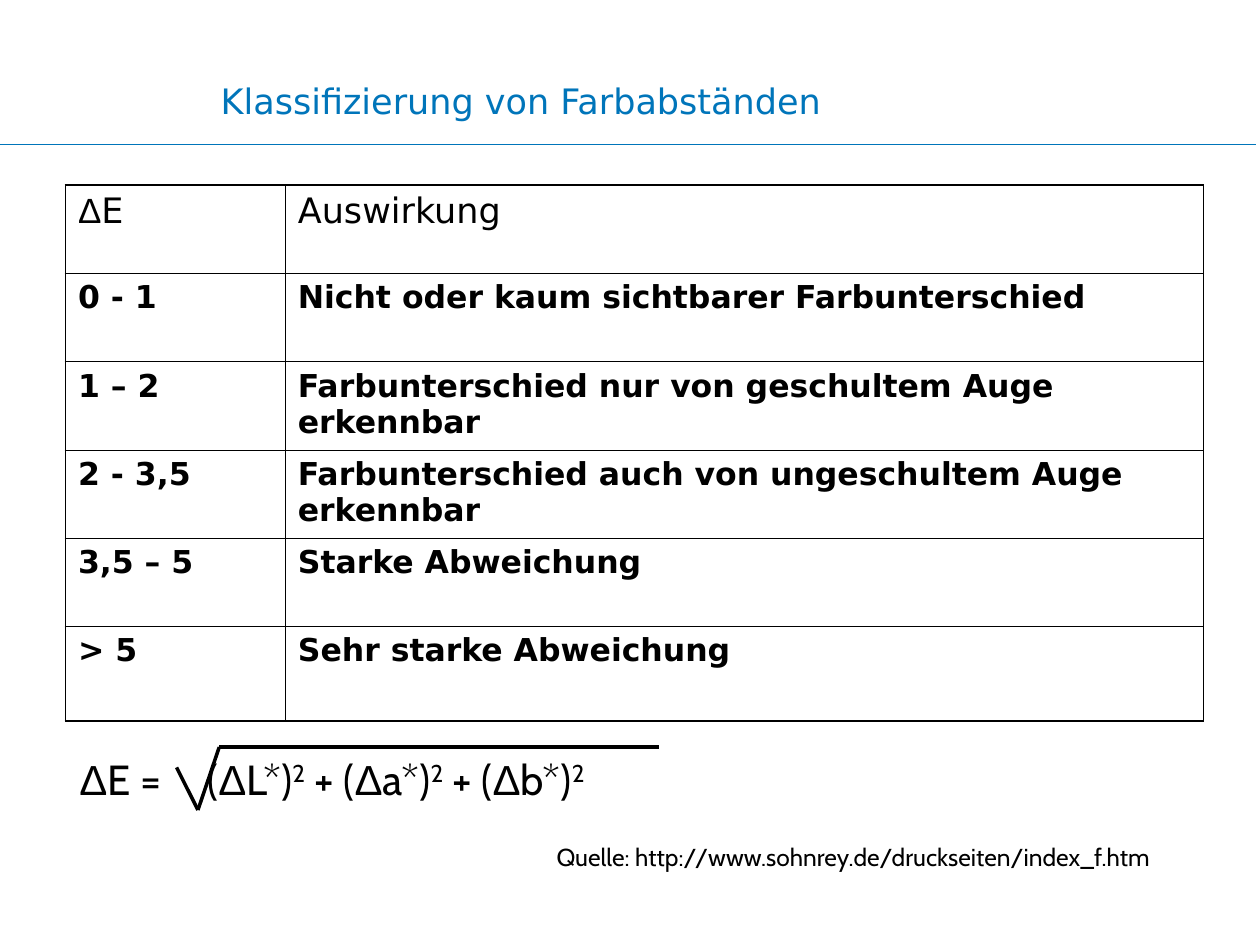
from itertools import pairwise

from lxml.etree import SubElement
from pptx import Presentation
from pptx.dml.color import RGBColor
from pptx.enum.shapes import MSO_CONNECTOR as CONN
from pptx.enum.text import MSO_ANCHOR, PP_ALIGN
from pptx.oxml.ns import qn
from pptx.util import Cm, Pt

BLUE = RGBColor(0x00, 0x75, 0xBA)
BLACK = RGBColor(0x00, 0x00, 0x00)
OUTER, INNER = Pt(1.08), Pt(0.45)


def set_font(font, size, color, name=None, bold=False):
    font.size, font.bold, font.name = Pt(size), bold, name
    font.color.rgb = color


def add_line(sl, start, end, color, width):
    ln = sl.shapes.add_connector(CONN.STRAIGHT, *map(Cm, start + end))
    ln.line.color.rgb = color
    ln.line.width = Pt(width)
    SubElement(ln._element.spPr, qn("a:effectLst"))


prs = Presentation()
prs.slide_width, prs.slide_height = Cm(25.4), Cm(19.05)
s = prs.slides.add_slide(prs.slide_layouts[5])

add_line(s, (-0.1, 2.92), (25.32, 2.92), BLUE, 0.75)

title = s.shapes.title
title.left, title.top, title.width, title.height = Cm(0.51), Cm(1.32), Cm(19.99), Cm(1.42)
tf = title.text_frame
tf.margin_left = tf.margin_right = tf.margin_top = tf.margin_bottom = 0
tf.vertical_anchor = MSO_ANCHOR.MIDDLE
tf.text = "Klassifizierung von Farbabständen"
p = tf.paragraphs[0]
p.alignment = PP_ALIGN.CENTER
set_font(p.font, 20, BLUE, "DejaVu Sans")

rows = [
    ("ΔE", "Auswirkung"),
    ("0 - 1", "Nicht oder kaum sichtbarer Farbunterschied"),
    ("1 – 2", "Farbunterschied nur von geschultem Auge erkennbar"),
    ("2 - 3,5", "Farbunterschied auch von ungeschultem Auge erkennbar"),
    ("3,5 – 5", "Starke Abweichung"),
    ("> 5", "Sehr starke Abweichung"),
]
table = s.shapes.add_table(len(rows), 2, Cm(1.32), Cm(3.73), Cm(22.94), Cm(10.8)).table
table.first_row = table.horz_banding = False
table.columns[0].width, table.columns[1].width = Cm(4.43), Cm(18.51)
last = len(rows) - 1
for i, row in enumerate(rows):
    table.rows[i].height = Cm(1.9 if i == last else 1.78)
    for j, text in enumerate(row):
        cell = table.cell(i, j)
        p = cell.text_frame.paragraphs[0]
        set_font(p.font, 18 if i else 20, BLACK, "DejaVu Sans", bold=i > 0)
        if text.startswith("Δ"):
            for part, name in (("Δ", "Arial"), (text[1:], "DejaVu Sans")):
                r = p.add_run()
                r.text, r.font.name = part, name
        else:
            p.add_run().text = text
        edges = {"L": j == 0, "R": j == 1, "T": i == 0, "B": i == last}
        tcPr = cell._tc.get_or_add_tcPr()
        for side, outer in edges.items():
            ln = SubElement(tcPr, qn(f"a:ln{side}"), w=str(OUTER if outer else INNER))
            fill = SubElement(ln, qn("a:solidFill"))
            SubElement(fill, qn("a:srgbClr"), val=str(BLACK))
        cell.fill.background()

tf = s.shapes.add_textbox(Cm(10.97), Cm(16.84), Cm(13.61), Cm(0.86)).text_frame
tf.word_wrap = True
tf.text = "Quelle: http://www.sohnrey.de/druckseiten/index_f.htm"
set_font(tf.paragraphs[0].font, 14, BLACK, "Cabin")

tf = s.shapes.add_textbox(Cm(1.35), Cm(15.06), Cm(11.91), Cm(1.27)).text_frame
tf.word_wrap = True
p = tf.paragraphs[0]
tabs = SubElement(p._p.get_or_add_pPr(), qn("a:tabLst"))
SubElement(tabs, qn("a:tab"), pos=str(Cm(2.58)), algn="l")
set_font(p.font, 24, BLACK)
formula = ["Δ", "E =\t(", "Δ", "L*)", "2", " + (", "Δ", "a*)", "2", " + (", "Δ", "b*)", "2"]
for part in formula:
    r = p.add_run()
    r.text = part
    r.font.name = "Arial" if part == "Δ" else "Cabin"
    if part == "2":
        r._r.get_or_add_rPr().set("baseline", "30000")

root = [(3.56, 15.47), (3.99, 16.33), (4.42, 15.06), (13.28, 15.06)]
for start, end in pairwise(root):
    add_line(s, start, end, BLACK, 2)

prs.save("out.pptx")
